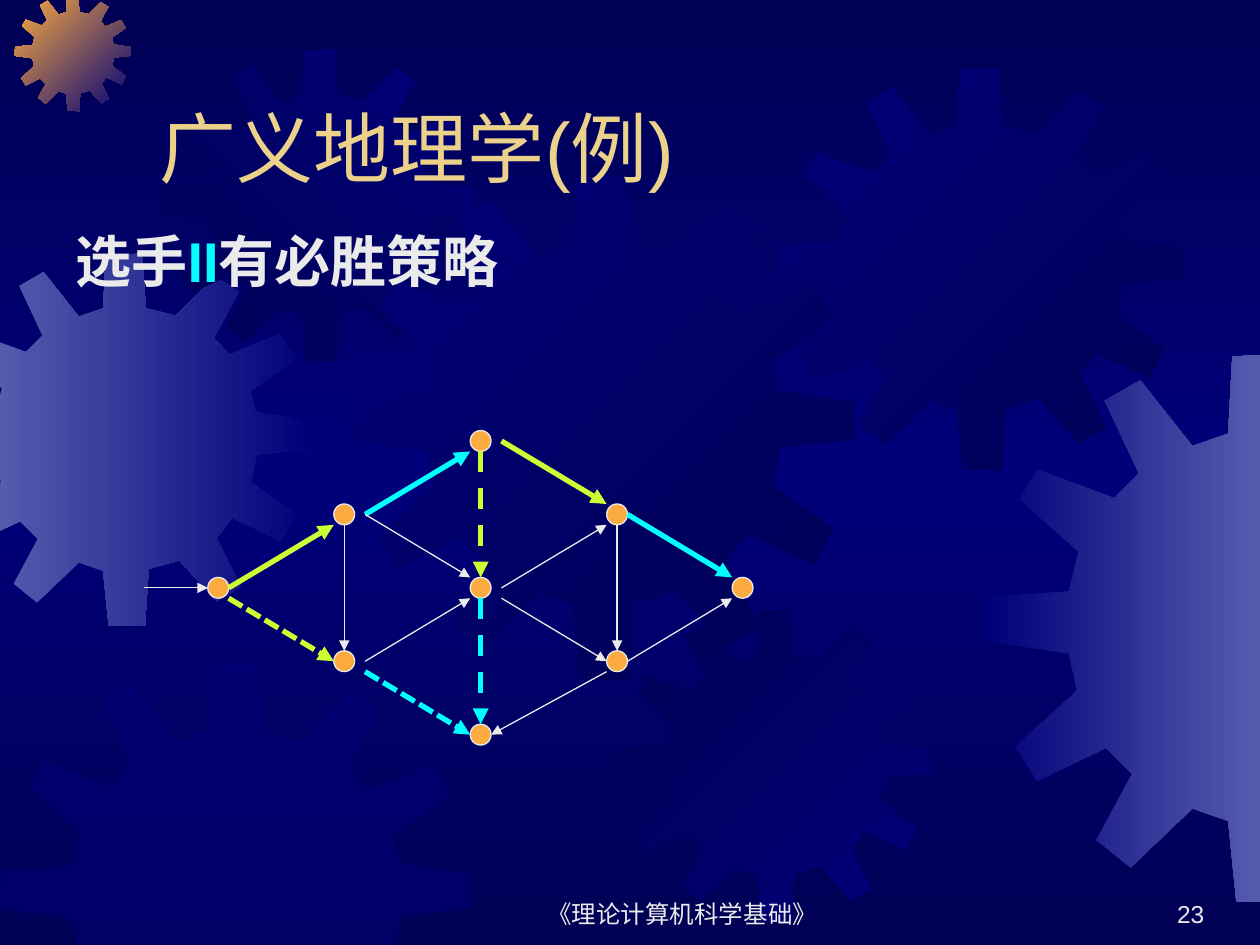
from pptx import Presentation
from pptx.dml.color import RGBColor
from pptx.enum.dml import MSO_LINE
from pptx.enum.shapes import MSO_CONNECTOR, MSO_SHAPE
from pptx.enum.text import MSO_ANCHOR, MSO_AUTO_SIZE, PP_ALIGN
from pptx.oxml.ns import qn
from pptx.util import Cm, Pt
from copy import deepcopy
from lxml import etree

STRAIGHT, OVAL = MSO_CONNECTOR.STRAIGHT, MSO_SHAPE.OVAL
DASH, DOT = MSO_LINE.DASH, MSO_LINE.SQUARE_DOT
LEFT, CENTER, RIGHT = PP_ALIGN.LEFT, PP_ALIGN.CENTER, PP_ALIGN.RIGHT
TOP, BOTTOM = MSO_ANCHOR.TOP, MSO_ANCHOR.BOTTOM

NAVY = RGBColor(0x00, 0x00, 0x54)
BLUE = RGBColor(0x00, 0x00, 0x7A)
STEEL = RGBColor(0x55, 0x5B, 0xAD)
ORANGE = RGBColor(0xFC, 0xAB, 0x40)
PALE = RGBColor(0xEA, 0xEA, 0xEA)
GOLD = RGBColor(0xEB, 0xD1, 0x89)
CYAN = RGBColor(0x00, 0xFF, 0xFF)
LIME = RGBColor(0xCC, 0xFF, 0x33)

WIDTH, HEIGHT = 25.4, 19.05

# Gear outline in a square of side GEAR_SIDE
GEAR_SIDE = 401
GEAR = [
    (255, 67), (223, 59), (219, 0), (180, 3), (177, 59), (151, 68),
    (113, 20), (87, 35), (112, 88), (94, 106), (38, 85), (25, 107),
    (68, 145), (61, 174), (1, 178), (0, 210), (61, 219), (67, 246),
    (22, 287), (38, 312), (88, 288), (107, 307), (81, 355), (106, 375),
    (151, 332), (177, 341), (183, 400), (222, 401), (226, 339), (259, 330),
    (299, 374), (325, 358), (299, 306), (316, 284), (368, 309), (384, 281),
    (336, 246), (342, 216), (401, 210), (400, 180), (341, 171), (335, 148),
    (383, 114), (367, 87), (313, 109), (296, 91), (323, 41), (297, 25),
]


def clip(points, axis, limit, side):
    """Cut a polygon at a limit on one axis; side 1 keeps what is above it, -1 below."""
    kept = []
    for start, end in zip(points, points[1:] + points[:1]):
        before = (start[axis] - limit) * side
        after = (end[axis] - limit) * side
        if before >= 0:
            kept.append(start)
        if before * after < 0:
            share = before / (before - after)
            kept.append(tuple(a + (b - a) * share for a, b in zip(start, end)))
    return kept


def write(shape, runs, size, align, anchor, bold=False):
    """Fill a text shape with one paragraph of (text, colour) runs."""
    frame = shape.text_frame
    frame.word_wrap = True
    frame.auto_size = MSO_AUTO_SIZE.NONE
    frame.vertical_anchor = anchor
    para = frame.paragraphs[0]
    para.alignment = align
    for text, color in runs:
        span = para.add_run()
        span.text = text
        span.font.name = "Arial"
        span.font.size = Pt(size)
        span.font.bold = bold
        span.font.color.rgb = color
    return para


deck = Presentation()
deck.slide_width, deck.slide_height = Cm(WIDTH), Cm(HEIGHT)
page = deck.slides.add_slide(deck.slide_layouts[5])

# Background: dark, lighter in the middle, dark
backdrop = page.background.fill
backdrop.gradient()
backdrop.gradient_angle = 270
for stop, color in zip(backdrop.gradient_stops, (NAVY, BLUE)):
    stop.color.rgb = color
backdrop.gradient_stops[1].position = 0.5
stop_list = page.element.find(".//" + qn("a:gsLst"))
last_stop = deepcopy(stop_list[0])
last_stop.set("pos", "100000")
stop_list.append(last_stop)

# Gears: left, top, size, first colour, last colour, gradient angle
gears = [
    (-1.24, 5.11, 7.52, STEEL, BLUE, 0),
    (0.3, -0.1, 2.34, ORANGE, BLUE, 315),
    (3.3, 0.99, 6.3, NAVY, BLUE, 45),
    (7.04, 3.53, 10.19, BLUE, NAVY, 315),
    (0, 13.34, 9.5, BLUE, None, None),
    (12.47, 12.29, 6.3, NAVY, BLUE, 315),
    (15.7, 1.35, 8.13, BLUE, NAVY, 315),
    (19.86, 7.11, 11.1, BLUE, STEEL, 0),
]
for left, top, size, first, last, angle in gears:
    scale = size / GEAR_SIDE
    outline = [(left + x * scale, top + y * scale) for x, y in GEAR]
    for axis, limit, side in ((0, 0, 1), (0, WIDTH, -1), (1, 0, 1), (1, HEIGHT, -1)):
        outline = clip(outline, axis, limit, side)
    corners = [(Cm(x), Cm(y)) for x, y in outline]
    builder = page.shapes.build_freeform(*corners[0])
    builder.add_line_segments(corners[1:], close=True)
    gear = builder.convert_to_shape()
    gear.shadow.inherit = False
    gear.line.fill.background()
    if last is None:
        gear.fill.solid()
        gear.fill.fore_color.rgb = first
        tint = gear._element.spPr.find(qn("a:solidFill"))[0]
        etree.SubElement(tint, qn("a:alpha")).set("val", "50000")
    else:
        gear.fill.gradient()
        gear.fill.gradient_angle = angle
        for stop, color in zip(gear.fill.gradient_stops, (first, last)):
            stop.color.rgb = color

# Title, in front of the gears
title = page.shapes.title
title.left, title.top, title.width, title.height = Cm(2.97), Cm(0.84), Cm(21.59), Cm(3.18)
write(title, [("广义地理学(例)", GOLD)], 44, LEFT, BOTTOM)
page.shapes._spTree.append(title._element)

claim = page.shapes.add_textbox(Cm(1.27), Cm(4.45), Cm(22.86), Cm(2.08))
claim_runs = [("选手", PALE), ("II", CYAN), ("有必胜策略", PALE)]
write(claim, claim_runs, 32, LEFT, TOP, bold=True).space_before = Pt(6.4)

for text, left, width, align in (
    ("《理论计算机科学基础》", 9.73, 8.05, CENTER),
    ("23", 19.25, 5.28, RIGHT),
):
    box = page.shapes.add_textbox(Cm(left), Cm(17.58), Cm(width), Cm(1.27))
    write(box, [(text, PALE)], 14, align, BOTTOM)

# Game graph: nodes on a grid of columns and evenly spaced rows
RADIUS = 0.21
COLUMNS = [4.4, 6.94, 9.69, 12.44, 14.97]
ROWS = [8.89 + 1.48 * row for row in range(5)]
nodes = {
    "top": (2, 0), "middle": (2, 2), "bottom": (2, 4),
    "upper right": (3, 1), "lower right": (3, 3), "end": (4, 2),
    "upper left": (1, 1), "lower left": (1, 3), "start": (0, 2),
}
centers = {name: (COLUMNS[col], ROWS[row]) for name, (col, row) in nodes.items()}
graph = page.shapes.add_group_shape()
for x, y in centers.values():
    node = graph.shapes.add_shape(
        OVAL, Cm(x - RADIUS), Cm(y - RADIUS), Cm(2 * RADIUS), Cm(2 * RADIUS))
    node.shadow.inherit = False
    node.fill.solid()
    node.fill.fore_color.rgb = ORANGE
    node.line.color.rgb = PALE
    node.line.width = Pt(0.75)

# Moves: from, offset, to, offset (in radii from the centre), colour, dash
moves = [
    ("start", (-7.1, 0), "start", (-1, 0), PALE, None),
    ("start", (1, 0), "upper left", (-1, 1), LIME, None),
    ("upper left", (2, 0), "top", (-1, 1), CYAN, None),
    ("middle", (2, 0), "upper right", (-1, 1), PALE, None),
    ("lower left", (2, 0), "middle", (-1, 1), PALE, None),
    ("lower right", (1, 0), "end", (-1, 1), PALE, None),
    ("upper left", (0, 1), "lower left", (0, -1), PALE, None),
    ("top", (0, 1), "middle", (0, -1), LIME, DASH),
    ("upper right", (0, 1), "lower right", (0, -1), PALE, None),
    ("middle", (0, 1), "bottom", (0, -1), CYAN, DASH),
    ("lower left", (2, 1), "bottom", (-1, 0), CYAN, DOT),
    ("start", (1, 1), "lower left", (-1, 0), LIME, DOT),
    ("upper left", (2, 0), "middle", (-1, -1), PALE, None),
    ("middle", (2, 1), "lower right", (-1, 0), PALE, None),
    ("upper right", (1, 0), "end", (-1, -1), CYAN, None),
    ("top", (2, 0), "upper right", (-1, -1), LIME, None),
    ("lower right", (-1, 1), "bottom", (1, 0), PALE, None),
]
for source, leave, target, arrive, color, dash in moves:
    ends = [Cm(center + RADIUS * step)
            for name, offset in ((source, leave), (target, arrive))
            for center, step in zip(centers[name], offset)]
    arrow = graph.shapes.add_connector(STRAIGHT, *ends)
    arrow.line.color.rgb = color
    arrow.line.width = Pt(0.75 if color == PALE else 3)
    if dash is not None:
        arrow.line.dash_style = dash
    etree.SubElement(arrow.line._get_or_add_ln(), qn("a:tailEnd")).set("type", "triangle")
    etree.SubElement(arrow._element.spPr, qn("a:effectLst"))

deck.save("out.pptx")
